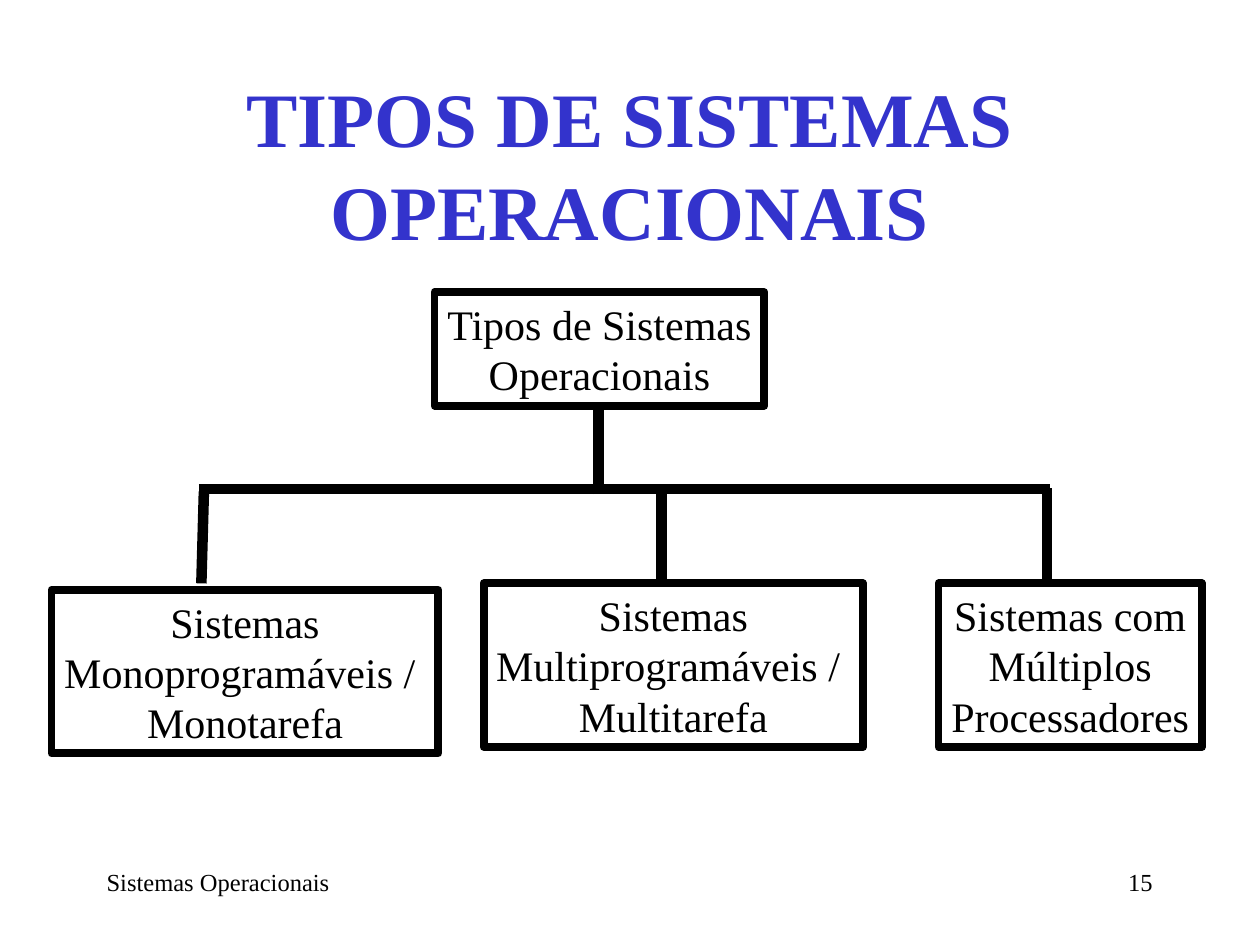
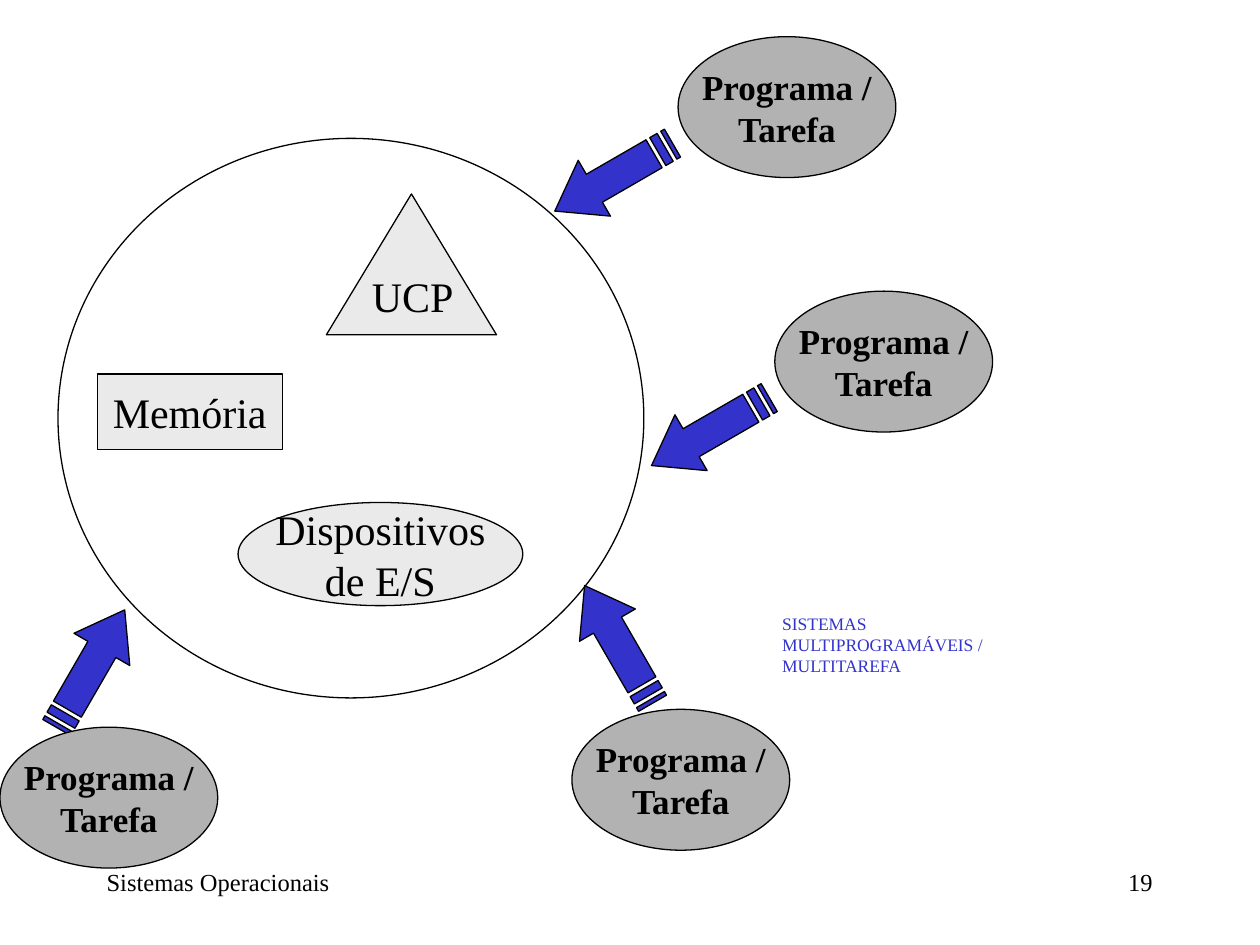
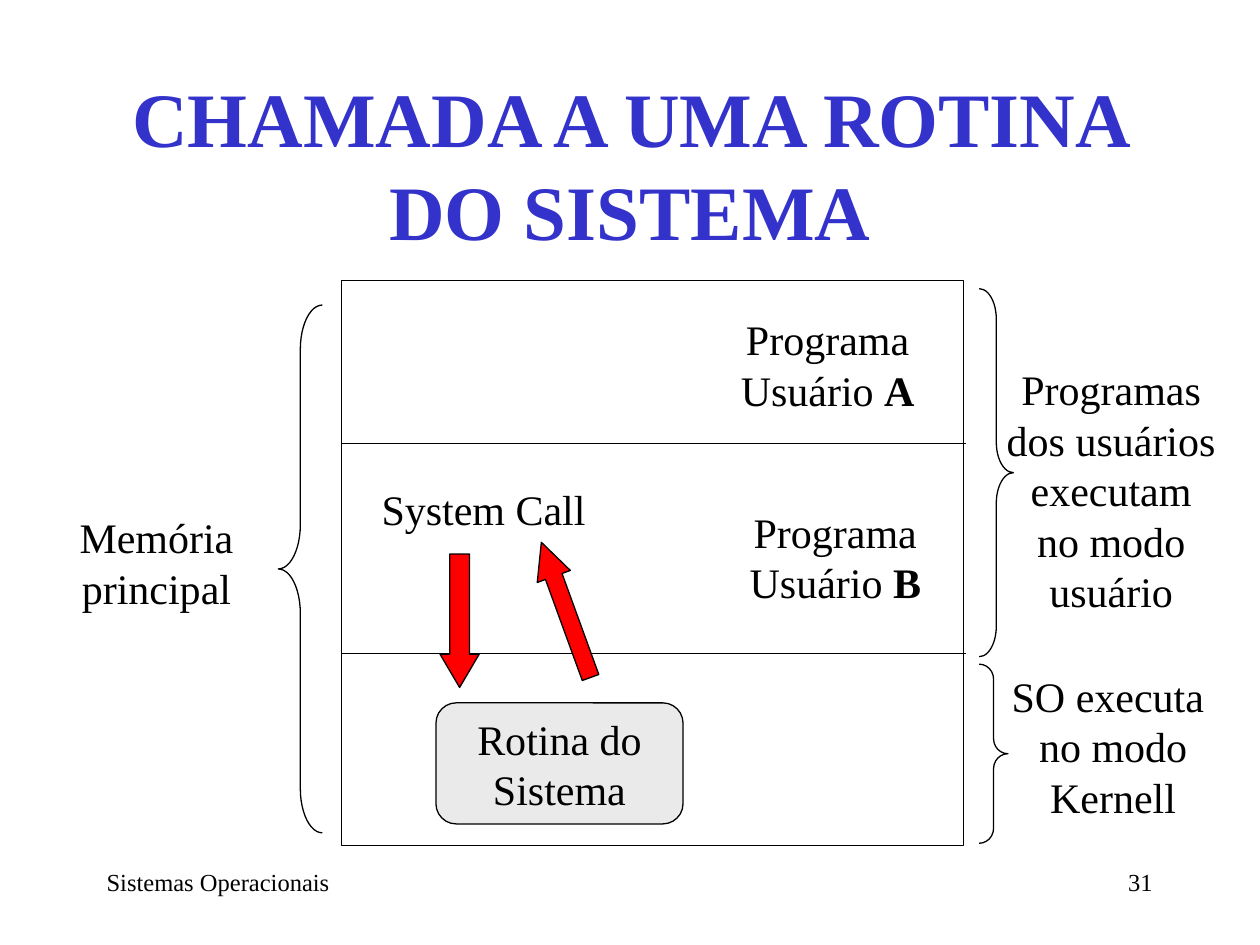
"""Builds three slides on types of operating systems and system calls."""
import pptx
import pptx.dml.color
import pptx.enum.shapes
import pptx.enum.text
import pptx.oxml
import pptx.oxml.ns
import pptx.util

Cm = pptx.util.Cm
SHAPE = pptx.enum.shapes.MSO_SHAPE
ALIGN = pptx.enum.text.PP_ALIGN
ANCHOR = pptx.enum.text.MSO_ANCHOR
FIT = pptx.enum.text.MSO_AUTO_SIZE
FONT = "Times New Roman"
COLORS = {"ink": "000000", "blue": "3333CC", "light": "EAEAEA", "gray": "B2B2B2", "red": "FF0000"}
RGB = {name: pptx.dml.color.RGBColor.from_string(value) for name, value in COLORS.items()}


def write(box, lines, size=24, color="ink", bold=False, align=ALIGN.CENTER,
          anchor=ANCHOR.MIDDLE, wrap=False):
    """Write one paragraph per line; any run after a line's first is bold."""
    frame = box.text_frame
    frame.auto_size = FIT.NONE
    frame.word_wrap = wrap
    frame.vertical_anchor = anchor
    for row, line in enumerate(lines):
        para = frame.add_paragraph() if row else frame.paragraphs[0]
        para.alignment = align
        for place, text in enumerate([line] if isinstance(line, str) else line):
            span = para.add_run()
            span.text = text
            span.font.name = FONT
            span.font.size = pptx.util.Pt(size)
            span.font.bold = bold or place > 0
            span.font.color.rgb = RGB[color]


def style(shape, fill=None, width=0.75):
    """Give a shape or connector its fill and black line, without shadow."""
    if isinstance(shape, pptx.shapes.connector.Connector):
        shape._element.spPr.append(pptx.oxml.parse_xml(
            f'<a:effectLst {pptx.oxml.ns.nsdecls("a")}/>'))
    else:
        shape.shadow.inherit = False
        if fill:
            shape.fill.solid()
            shape.fill.fore_color.rgb = RGB[fill]
        else:
            shape.fill.background()
    shape.line.color.rgb = RGB["ink"]
    shape.line.width = pptx.util.Pt(width)
    return shape


deck = pptx.Presentation()
deck.slide_width, deck.slide_height = Cm(25.4), Cm(19.05)
pages = []
for number, title in [
    ("15", "TIPOS DE SISTEMAS OPERACIONAIS"),
    ("19", None),
    ("31", "CHAMADA A UMA ROTINA DO SISTEMA"),
]:
    page = deck.slides.add_slide(deck.slide_layouts[5 if title else 6])
    pages.append(page)
    if title:
        box = page.shapes.title
        box.left, box.top, box.width, box.height = Cm(1.9), Cm(1.7), Cm(21.6), Cm(3.18)
        write(box, [title], 44, "blue", bold=True, wrap=True)
    for left, text, align in [
        (18.21, number, ALIGN.RIGHT),
        (1.9, "Sistemas Operacionais", ALIGN.LEFT),
    ]:
        box = page.shapes.add_textbox(Cm(left), Cm(17.35), Cm(5.28), Cm(1.27))
        write(box, [text], 14, align=align, anchor=ANCHOR.TOP, wrap=True)
types_page, multitask_page, call_page = pages

for left, top, width, height, lines in [
    (8.76, 5.89, 6.65, 2.29, ["Tipos de Sistemas", "Operacionais"]),
    (1.04, 11.89, 7.8, 3.3, ["Sistemas", "Monoprogramáveis / ", "Monotarefa"]),
    (9.75, 11.76, 7.65, 3.3, ["Sistemas", "Multiprogramáveis / ", "Multitarefa"]),
    (18.92, 11.76, 5.31, 3.3, ["Sistemas com", "Múltiplos", "Processadores"]),
]:
    box = types_page.shapes.add_shape(SHAPE.RECTANGLE, Cm(left), Cm(top), Cm(width), Cm(height))
    write(style(box, width=4.5), lines)

for page, width, ends in [
    (types_page, 6, (4.01, 9.86, 21.16, 9.86)),
    (types_page, 6, (12.07, 9.96, 12.07, 8.15)),
    (types_page, 6, (4.06, 11.76, 4.11, 9.91)),
    (types_page, 6, (13.34, 11.73, 13.34, 9.83)),
    (types_page, 6, (21.11, 11.73, 21.11, 9.83)),
    (call_page, 0.75, (6.88, 8.94, 19.48, 8.94)),
    (call_page, 0.75, (6.88, 13.18, 19.48, 13.18)),
]:
    line = page.shapes.add_connector(
        pptx.enum.shapes.MSO_CONNECTOR.STRAIGHT, *[Cm(end) for end in ends])
    style(line, width=width)

for page, kind, left, top, width, height, fill, lines in [
    (multitask_page, SHAPE.OVAL, 1.17, 2.79, 11.81, 11.28, None, []),
    (multitask_page, SHAPE.ISOSCELES_TRIANGLE, 6.58, 3.91, 3.43, 2.84, "light", []),
    (multitask_page, SHAPE.RECTANGLE, 1.96, 7.54, 3.73, 1.52, "light", ["Memória"]),
    (multitask_page, SHAPE.OVAL, 4.8, 10.13, 5.74, 2.08, "light", ["Dispositivos", "de E/S"]),
    (call_page, SHAPE.RECTANGLE, 6.88, 5.66, 12.55, 11.38, None, []),
    (call_page, SHAPE.FLOWCHART_ALTERNATE_PROCESS, 8.79, 14.17, 4.98, 2.44, "light",
     ["Rotina do", "Sistema"]),
]:
    box = page.shapes.add_shape(kind, Cm(left), Cm(top), Cm(width), Cm(height))
    write(style(box, fill), lines)

ARROW_PARTS = [
    [(20, 1), (85, 1), (85, 0), (128, 2), (85, 4), (85, 3), (20, 3)],
    [(0, 1), (4, 1), (4, 3), (0, 3)],
    [(8, 1), (16, 1), (16, 3), (8, 3)],
]
for arrow_left, arrow_top, turn, left, top in [
    (11, 2.92, 150, 13.67, 0.74),
    (12.95, 8.05, 150, 15.62, 5.87),
    (11.1, 12.34, 240, 11.53, 14.3),
    (0.46, 12.83, 300, 0, 14.66),
]:
    outline = multitask_page.shapes.build_freeform(
        *ARROW_PARTS[0][0], scale=(Cm(2.74) / 128, Cm(1.3) / 4))
    for part in ARROW_PARTS:
        if part is not ARROW_PARTS[0]:
            outline.move_to(*part[0])
        outline.add_line_segments(part[1:], close=True)
    arrow = style(outline.convert_to_shape(Cm(arrow_left), Cm(arrow_top)), "blue")
    arrow.rotation = turn
    program = multitask_page.shapes.add_shape(
        SHAPE.OVAL, Cm(left), Cm(top), Cm(4.39), Cm(2.84))
    write(style(program, "gray"), ["Programa /", "Tarefa"], 20, bold=True)

caption = multitask_page.shapes.add_textbox(Cm(15.52), Cm(9.86), Cm(9.88), Cm(6.25))
write(caption, ["SISTEMAS", "MULTIPROGRAMÁVEIS /", "MULTITAREFA"], 10, "blue", align=ALIGN.LEFT)

for kind, left, top, width, height, turn, fill, adjustments in [
    (SHAPE.LEFT_BRACE, 5.61, 6.15, 0.89, 10.64, 0, None, [1, 0.5]),
    (SHAPE.RIGHT_BRACE, 19.74, 5.82, 0.69, 7.42, 0, None, [0.89, 0.5]),
    (SHAPE.RIGHT_BRACE, 19.74, 13.39, 0.58, 3.61, 0, None, [0.52, 0.5]),
    (SHAPE.RIGHT_ARROW, 7.92, 12.12, 2.69, 0.79, 90, "red", [0.5, 0.85]),
    (SHAPE.RIGHT_ARROW, 9.96, 11.94, 2.9, 0.71, 250, "red", [0.5, 1.03]),
]:
    mark = call_page.shapes.add_shape(kind, Cm(left), Cm(top), Cm(width), Cm(height))
    style(mark, fill).rotation = turn
    for place, value in enumerate(adjustments):
        mark.adjustments[place] = value

for page, left, top, width, height, lines in [
    (multitask_page, 7.24, 5.33, 2.16, 1.27, ["UCP"]),
    (call_page, 1.35, 10.19, 3.61, 2.29, ["Memória", "principal"]),
    (call_page, 14.68, 6.2, 4.01, 2.29, ["Programa", ["Usuário ", "A"]]),
    (call_page, 14.86, 10.08, 3.96, 2.29, ["Programa", ["Usuário ", "B"]]),
    (call_page, 7.44, 9.63, 4.62, 1.27, ["System Call"]),
    (call_page, 20.04, 7.21, 4.72, 5.33,
     ["Programas", "dos usuários", "executam", "no modo", "usuário"]),
    (call_page, 20.14, 13.39, 4.6, 3.3, ["SO executa ", "no modo", "Kernell"]),
]:
    write(page.shapes.add_textbox(Cm(left), Cm(top), Cm(width), Cm(height)), lines)

deck.save("out.pptx")
